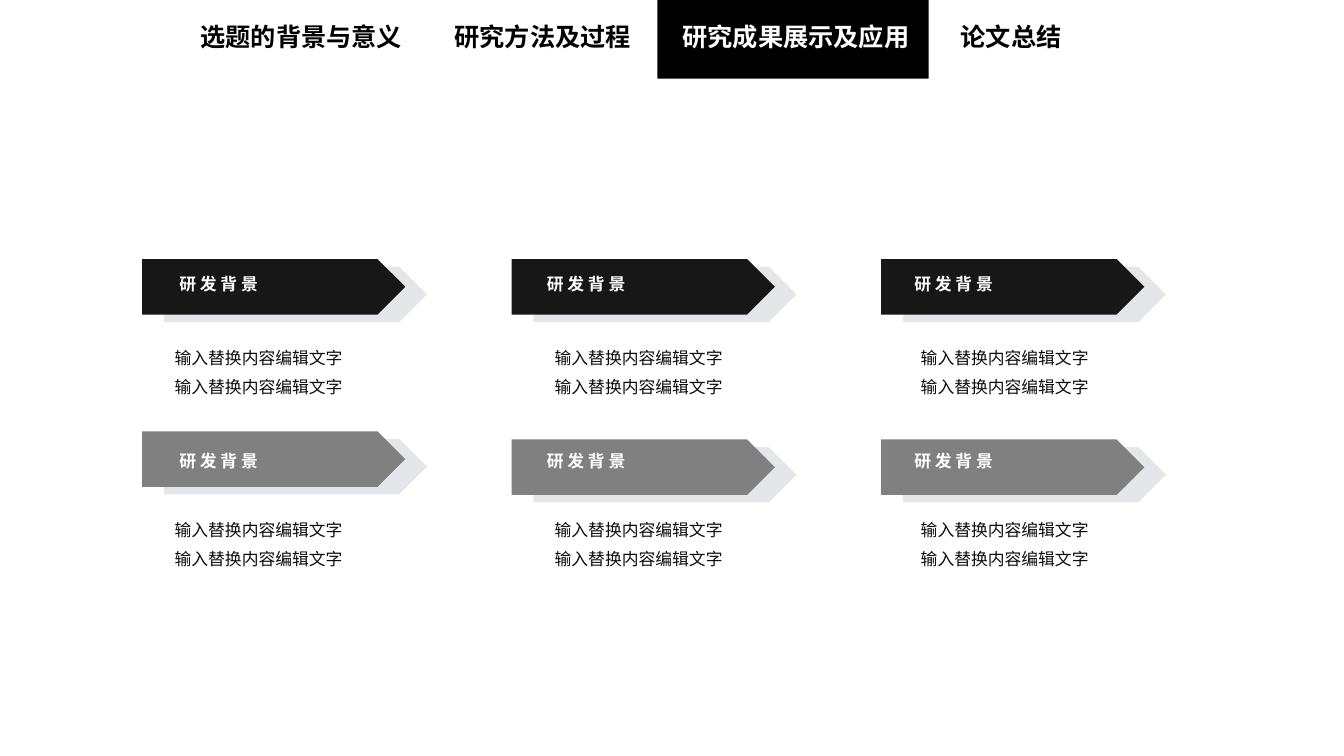
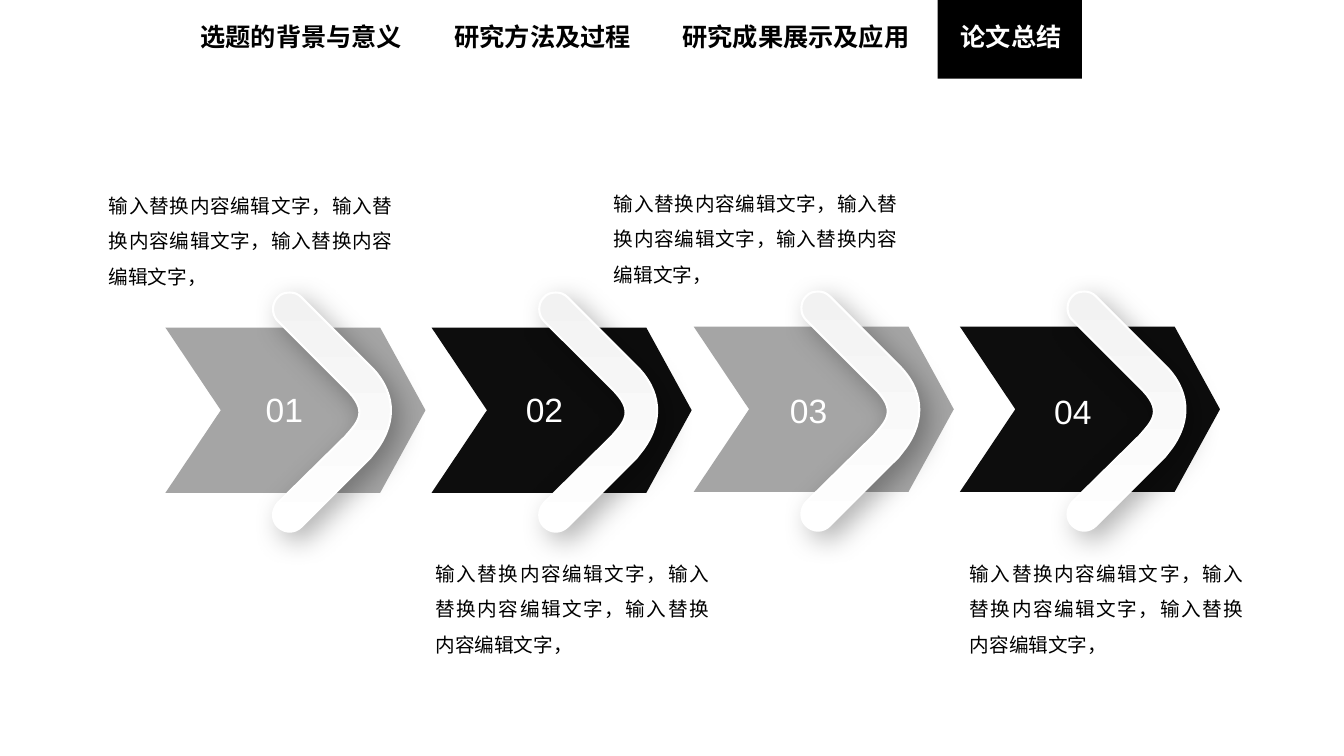
import math

import pptx
import pptx.dml.color
import pptx.enum.shapes
import pptx.enum.text
import pptx.oxml.ns
import pptx.util
from lxml import etree

Inches = pptx.util.Inches
Pt = pptx.util.Pt
qn = pptx.oxml.ns.qn
SHAPE = pptx.enum.shapes.MSO_SHAPE
ALIGN = pptx.enum.text.PP_ALIGN

COLORS = {
    "black": "000000",
    "white": "FFFFFF",
    "ink": "0D0D0D",
    "plate": "181717",
    "gray": "808080",
    "silver": "A5A5A5",
    "slate": "44546A",
    "pearl": "F2F2F2",
}
CJK = "Noto Sans CJK SC"
LATIN = "Arial"

CHAPTERS = [
    ("选题的背景与意义", 1.89, 2.24),
    ("研究方法及过程", 4.41, 1.97),
    ("研究成果展示及应用", 6.67, 2.47),
    ("论文总结", 9.43, 1.21),
]

ARROW = [[(0, 0)], [(2.13, 0)], [(2.58, 0.82)], [(2.13, 1.64)], [(0, 1.64)], [(0.55, 0.82)]]
BAND_CENTER = (1.24, 0.84)
BAND = [
    [(1.24, -0.35)],
    [(1.28, -0.35), (1.32, -0.34), (1.36, -0.3)],
    [(2.02, 0.36)],
    [(2.03, 0.37)],
    [(2.29, 0.62), (2.31, 0.92), (2.11, 1.2)],
    [(2.04, 1.29)],
    [(2.02, 1.31)],
    [(1.36, 1.97)],
    [(1.29, 2.04), (1.19, 2.04), (1.12, 1.97)],
    [(1.06, 1.91), (1.06, 1.81), (1.12, 1.74)],
    [(1.79, 1.08)],
    [(1.92, 0.93), (2.03, 0.83), (1.79, 0.6)],
    [(1.12, -0.07)],
    [(1.06, -0.13), (1.06, -0.24), (1.12, -0.3)],
    [(1.15, -0.34), (1.2, -0.35), (1.24, -0.35)],
]


def rgb(color):
    return pptx.dml.color.RGBColor.from_string(COLORS[color])


def turn_back(point, center, degrees):
    cos, sin = math.cos(math.radians(degrees)), math.sin(math.radians(degrees))
    x, y = point[0] - center[0], point[1] - center[1]
    return center[0] + x * cos + y * sin, center[1] - x * sin + y * cos


class Deck:
    def __init__(self):
        self.prs = pptx.Presentation()
        self.prs.slide_width = Inches(13.33)
        self.prs.slide_height = Inches(7.5)
        self.slide = None

    def new_slide(self, active, tab_left, tab_width):
        self.slide = self.prs.slides.add_slide(self.prs.slide_layouts[6])
        self.preset(SHAPE.RECTANGLE, tab_left, -0.01, tab_width, 0.79, "black")
        for index, (chapter, left, width) in enumerate(CHAPTERS):
            color = "white" if index == active else "black"
            self.text([chapter], left, 0.16, width, 0.4, 18, color,
                      bold=True, wrap=False, pitch=21.6)

    def paint(self, shape, color):
        shape.fill.solid()
        shape.fill.fore_color.rgb = rgb(color)
        shape.line.fill.background()
        shape.shadow.inherit = False

    def preset(self, kind, left, top, width, height, color, alpha=None):
        shape = self.slide.shapes.add_shape(
            kind, Inches(left), Inches(top), Inches(width), Inches(height))
        self.paint(shape, color)
        if alpha is not None:
            tint = shape.fill._xPr.find(qn("a:solidFill"))[0]
            etree.SubElement(tint, qn("a:alpha"), val=str(alpha * 1000))

    def outline(self, segments, left, top):
        corners = [(Inches(left + x), Inches(top + y))
                   for segment in segments for x, y in segment]
        builder = self.slide.shapes.build_freeform(*corners[0], scale=1.0)
        builder.add_line_segments(corners[1:], close=True)
        shape = builder.convert_to_shape()
        lines = iter(list(shape._element.iter(qn("a:lnTo"))))
        for segment in segments[1:]:
            strokes = [next(lines) for _ in segment]
            if len(segment) == 3:
                curve = etree.Element(qn("a:cubicBezTo"))
                strokes[0].addprevious(curve)
                for stroke in strokes:
                    curve.append(stroke[0])
                    stroke.getparent().remove(stroke)
        return shape

    def arrow(self, left, top, color):
        self.paint(self.outline(ARROW, left, top), color)

    def band(self, left, top):
        upright = [[turn_back(point, BAND_CENTER, 45) for point in segment]
                   for segment in BAND]
        band = self.outline(upright, left, top)
        band.rotation = 45
        band.fill.gradient()
        band.fill.gradient_angle = 315
        for stop, color in zip(band.fill.gradient_stops, ("pearl", "white")):
            stop.color.rgb = rgb(color)
        band.line.color.rgb = rgb("white")
        band.line.width = Pt(1.5)
        band.shadow.inherit = False
        effects = band._element.spPr.find(qn("a:effectLst"))
        shadow = etree.SubElement(
            effects, qn("a:outerShdw"), blurRad=str(Pt(20)), dist=str(Pt(8)),
            dir="2700000", algn="tl", rotWithShape="0")
        shade = etree.SubElement(shadow, qn("a:srgbClr"), val=COLORS["black"])
        etree.SubElement(shade, qn("a:alpha"), val="30000")

    def text(self, lines, left, top, width, height, size, color, font=CJK,
             bold=False, align=ALIGN.LEFT, wrap=True, pitch=None, gap=0):
        box = self.slide.shapes.add_textbox(
            Inches(left), Inches(top), Inches(width), Inches(height))
        frame = box.text_frame
        frame.word_wrap = wrap
        frame.text = "\n".join(lines)
        for index, paragraph in enumerate(frame.paragraphs):
            paragraph.alignment = align
            if pitch:
                paragraph.line_spacing = Pt(pitch)
            if index and gap:
                paragraph.space_before = Pt(gap)
            for run in paragraph.runs:
                run.font.size = Pt(size)
                run.font.bold = bold
                run.font.color.rgb = rgb(color)
                run.font.name = font
                latin = run.font._element.find(qn("a:latin"))
                latin.addnext(etree.Element(qn("a:ea"), typeface=font))

    def plate(self, left, top, color):
        self.preset(SHAPE.PENTAGON, left + 0.215, top + 0.075, 2.61, 0.55, "slate", alpha=14)
        self.preset(SHAPE.PENTAGON, left, top, 2.61, 0.55, color)


def build_results(deck):
    deck.new_slide(2, 6.52, 2.69)
    rows = [
        ("plate", (2.57, 2.57, 2.57), 2.67, 3.4),
        ("gray", (4.28, 4.36, 4.36), 4.42, 5.11),
    ]
    detail_lefts = (1.34, 5.11, 8.74)
    for color, plate_tops, label_top, detail_top in rows:
        for column, (plate_top, detail_left) in enumerate(zip(plate_tops, detail_lefts)):
            deck.plate(1.41 + 3.665 * column, plate_top, color)
            deck.text(["研 发 背 景"], 1.68 + 3.645 * column, label_top, 1.17, 0.35,
                      12, "white", bold=True, wrap=False, pitch=14.4)
            deck.text(["输入替换内容编辑文字"] * 2, detail_left, detail_top, 2.45, 0.6,
                      12, "ink", align=ALIGN.CENTER, pitch=14.4, gap=6)


def build_summary(deck):
    deck.new_slide(3, 9.3, 1.43)
    steps = [
        (1.64, 3.25, "silver", 2.48, 3.81, (0.98, 1.76, 3.01, 1.16)),
        (4.28, 3.25, "ink", 5.06, 3.81, (4.22, 5.41, 2.91, 1.12)),
        (6.88, 3.24, "silver", 7.68, 3.82, (5.99, 1.74, 3.01, 1.16)),
        (9.52, 3.24, "ink", 10.3, 3.83, (9.52, 5.41, 2.91, 1.12)),
    ]
    for number, (left, top, color, number_left, number_top, detail) in enumerate(steps, 1):
        deck.arrow(left, top, color)
        deck.band(left, top)
        deck.text(["输入替换内容编辑文字，" * 3], *detail, 14, "black",
                  align=ALIGN.JUSTIFY, pitch=25.2)
        deck.text([f"{number:02d}"], number_left, number_top, 0.68, 0.5,
                  24, "white", font=LATIN, align=ALIGN.CENTER)


def main():
    deck = Deck()
    build_results(deck)
    build_summary(deck)
    deck.prs.save("out.pptx")


if __name__ == "__main__":
    main()
